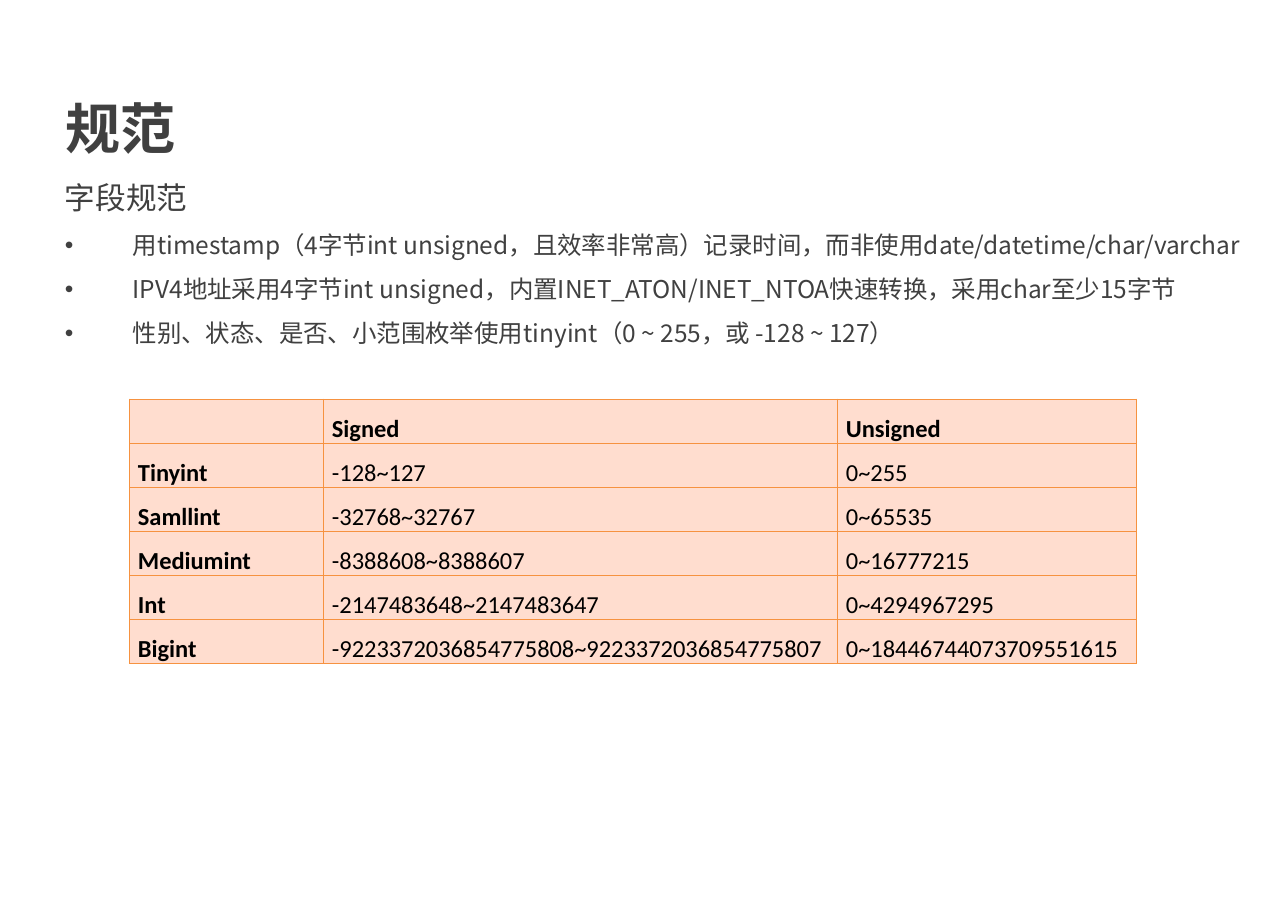
import pptx
import pptx.dml.color
import pptx.enum.text
import pptx.oxml.ns
import pptx.util
from lxml import etree

EMU_PER_PX = 914400 / 110.2
CHARCOAL = pptx.dml.color.RGBColor(0x40, 0x40, 0x40)
BLACK = pptx.dml.color.RGBColor(0x00, 0x00, 0x00)
PEACH = pptx.dml.color.RGBColor(0xFF, 0xDD, 0xCF)
ORANGE = pptx.dml.color.RGBColor(0xF6, 0x92, 0x40)
CJK_FONT = "Noto Sans CJK SC"
TABLE_FONT = "Calibri"

HEADING = "字段规范"
RULES = [
    "用timestamp（4字节int unsigned，且效率非常高）记录时间，而非使用date/datetime/char/varchar",
    "IPV4地址采用4字节int unsigned，内置INET_ATON/INET_NTOA快速转换，采用char至少15字节",
    "性别、状态、是否、小范围枚举使用tinyint（0 ~ 255，或 -128 ~ 127）",
]
INTEGER_RANGES = [
    ("", "Signed", "Unsigned"),
    ("Tinyint", "-128~127", "0~255"),
    ("Samllint", "-32768~32767", "0~65535"),
    ("Mediumint", "-8388608~8388607", "0~16777215"),
    ("Int", "-2147483648~2147483647", "0~4294967295"),
    ("Bigint", "-9223372036854775808~9223372036854775807", "0~18446744073709551615"),
]
COLUMN_WIDTHS = [194, 514, 299]
ROW_HEIGHT = 44


def px(length):
    return pptx.util.Emu(round(length * EMU_PER_PX))


def add_xml(parent, tag, **attributes):
    return etree.SubElement(parent, pptx.oxml.ns.qn(tag), attributes)


def format_paragraph(paragraph, size, font, color, bold=False):
    paragraph.line_spacing = 1.5
    for run in paragraph.runs:
        run.font.size = pptx.util.Pt(size)
        run.font.name = font
        run.font.bold = bold
        run.font.color.rgb = color
        add_xml(run.font._element, "a:ea", typeface=font)


def add_bullet(paragraph, indent):
    properties = paragraph._p.get_or_add_pPr()
    properties.set("marL", str(px(indent)))
    properties.set("indent", str(-px(indent)))
    add_xml(properties, "a:buFont", typeface="Arial")
    add_xml(properties, "a:buChar", char="•")


def fill_title(slide):
    title = slide.shapes.title
    title.left, title.top, title.width, title.height = map(px, (54, 56, 1207, 99))
    frame = title.text_frame
    frame.text = "规范"
    frame.vertical_anchor = pptx.enum.text.MSO_ANCHOR.TOP
    frame.auto_size = pptx.enum.text.MSO_AUTO_SIZE.SHAPE_TO_FIT_TEXT
    frame.paragraphs[0].alignment = pptx.enum.text.PP_ALIGN.LEFT
    format_paragraph(frame.paragraphs[0], 36, CJK_FONT, CHARCOAL, bold=True)


def add_rules(slide):
    rules = slide.shapes.add_textbox(*map(px, (54, 155, 1207, 245)))
    frame = rules.text_frame
    frame.word_wrap = True
    frame.auto_size = pptx.enum.text.MSO_AUTO_SIZE.SHAPE_TO_FIT_TEXT
    frame.text = "\n".join([HEADING, *RULES])
    heading, *items = frame.paragraphs
    format_paragraph(heading, 20, CJK_FONT, CHARCOAL)
    for item in items:
        format_paragraph(item, 16, CJK_FONT, CHARCOAL)
        add_bullet(item, 68)


def add_borders(cell):
    properties = cell._tc.get_or_add_tcPr()
    for side in ("a:lnL", "a:lnR", "a:lnT", "a:lnB"):
        border = add_xml(properties, side, w=str(pptx.util.Pt(0.75)))
        add_xml(add_xml(border, "a:solidFill"), "a:srgbClr", val=str(ORANGE))


def format_cell(cell, text, bold):
    add_borders(cell)
    cell.fill.solid()
    cell.fill.fore_color.rgb = PEACH
    cell.margin_left = cell.margin_right = px(8)
    cell.margin_top = cell.margin_bottom = 0
    cell.text = text
    paragraph = cell.text_frame.paragraphs[0]
    paragraph.alignment = pptx.enum.text.PP_ALIGN.JUSTIFY
    format_paragraph(paragraph, 16, TABLE_FONT, BLACK, bold)


def add_range_table(slide):
    row_count = len(INTEGER_RANGES)
    frame = slide.shapes.add_table(
        row_count, len(COLUMN_WIDTHS), px(130), px(399),
        px(sum(COLUMN_WIDTHS)), px(ROW_HEIGHT * row_count))
    ranges = frame.table
    ranges.first_row = ranges.horz_banding = False
    for column, width in zip(ranges.columns, COLUMN_WIDTHS):
        column.width = px(width)
    for row, texts in enumerate(INTEGER_RANGES):
        for column, text in enumerate(texts):
            format_cell(ranges.cell(row, column), text, bold=row == 0 or column == 0)


def main():
    presentation = pptx.Presentation()
    presentation.slide_width = px(1288)
    presentation.slide_height = px(911)
    slide = presentation.slides.add_slide(presentation.slide_layouts[5])
    fill_title(slide)
    add_rules(slide)
    add_range_table(slide)
    presentation.save("out.pptx")


if __name__ == "__main__":
    main()
